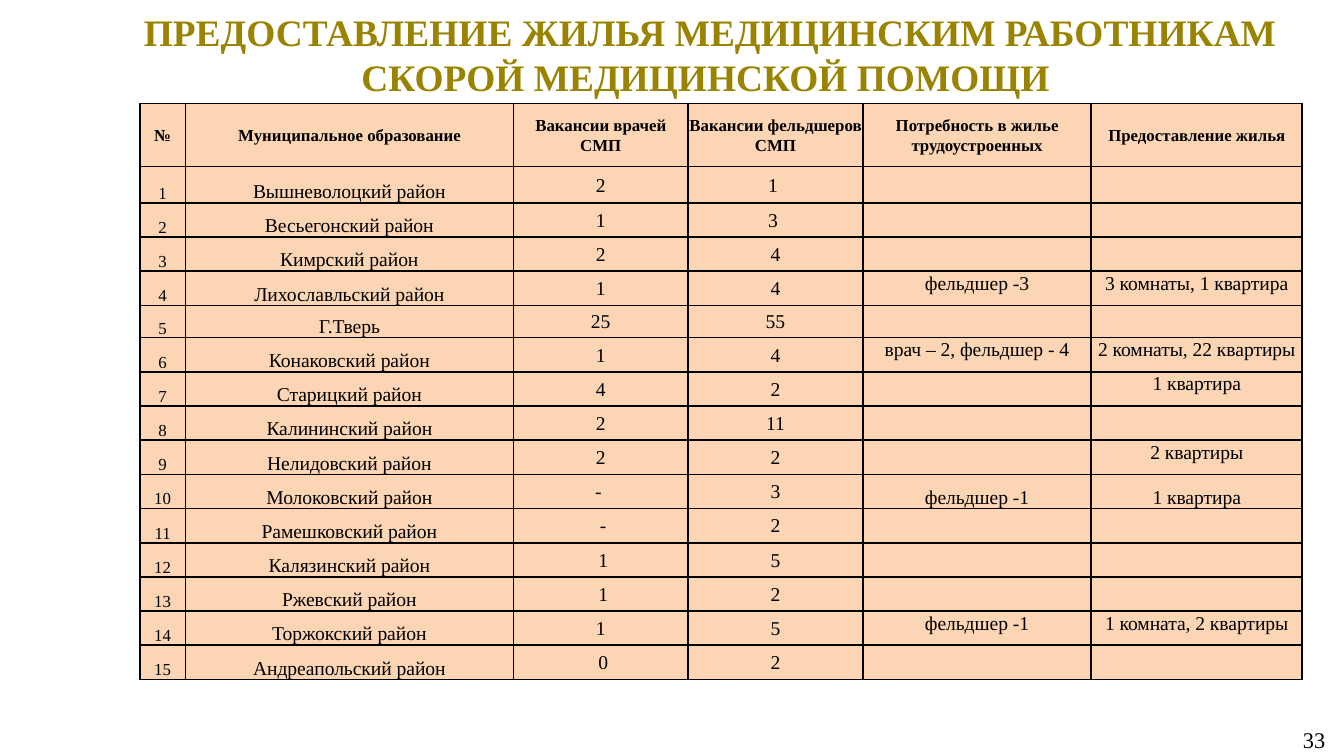
"""Build the slide on housing provided to ambulance medical staff."""
from lxml.etree import SubElement
from pptx import Presentation
from pptx.dml.color import RGBColor
from pptx.enum.text import MSO_ANCHOR as Anchor, PP_ALIGN as Align
from pptx.oxml.ns import qn
from pptx.util import Inches, Pt

FONT = "Times New Roman"
OLIVE = RGBColor(0x99, 0x83, 0x00)
BLACK = RGBColor(0x00, 0x00, 0x00)
PEACH = RGBColor(0xFC, 0xD5, 0xB5)

TITLE = " ПРЕДОСТАВЛЕНИЕ ЖИЛЬЯ МЕДИЦИНСКИМ РАБОТНИКАМ СКОРОЙ МЕДИЦИНСКОЙ ПОМОЩИ"
PAGE_NUMBER = "33"
HEADINGS = (
    "№", "Муниципальное образование", "Вакансии врачей СМП",
    "Вакансии фельдшеров СМП", "Потребность в жилье трудоустроенных",
    "Предоставление жилья",
)
DISTRICTS = [
    ("Вышневолоцкий район", "2", "1 ", "", ""),
    ("Весьегонский район", "1", "3 ", "", ""),
    ("Кимрский район", "2", "4", "", ""),
    ("Лихославльский район", "1", "4", "фельдшер -3", "3 комнаты, 1 квартира"),
    ("Г.Тверь", "25", "55", "", ""),
    ("Конаковский район", "1", "4", "врач – 2, фельдшер - 4", "2 комнаты, 22 квартиры"),
    ("Старицкий район", "4", "2", "", "1 квартира"),
    ("Калининский район", "2", "11", "", ""),
    ("Нелидовский район", "2", "2", "", "2 квартиры"),
    ("Молоковский район", "- ", "3", "фельдшер -1", "1 квартира"),
    ("Рамешковский район", " -", "2", "", ""),
    ("Калязинский район", " 1", "5", "", ""),
    ("Ржевский район", " 1", "2", "", ""),
    ("Торжокский район", "1", "5", "фельдшер -1", "1 комната, 2 квартиры"),
    ("Андреапольский район", " 0", "2", "", ""),
]
COLUMN_WIDTHS = (0.34, 2.44, 1.3, 1.3, 1.7, 1.57)
COLUMN_ANCHORS = (Anchor.BOTTOM, Anchor.BOTTOM, Anchor.MIDDLE,
                  Anchor.MIDDLE, Anchor.TOP, Anchor.TOP)
TABLE_HEIGHT = 4.29
SPECIAL_HEIGHTS = {0: 0.47, 1: 0.27, 5: 0.24}
LOW_HOUSING_ROW = 10


def add_run(paragraph, text, size, color=BLACK, bold=False):
    run = paragraph.add_run()
    run.text = text
    run.font.name = FONT
    run.font.size = Pt(size)
    run.font.bold = bold
    run.font.color.rgb = color


def add_label(slide, box, text, size, align, color=BLACK, bold=False):
    frame = slide.shapes.add_textbox(*map(Inches, box)).text_frame
    frame.word_wrap = True
    frame.vertical_anchor = Anchor.MIDDLE
    frame.paragraphs[0].alignment = align
    add_run(frame.paragraphs[0], text, size, color, bold)


def add_borders(cell):
    properties = cell._tc.get_or_add_tcPr()
    for side in ("a:lnL", "a:lnR", "a:lnT", "a:lnB"):
        line = SubElement(properties, qn(side), w=str(Pt(1)))
        SubElement(SubElement(line, qn("a:solidFill")), qn("a:srgbClr"), val=str(BLACK))


def fill_cell(cell, text, size, anchor, bold):
    add_borders(cell)
    cell.fill.solid()
    cell.fill.fore_color.rgb = PEACH
    cell.margin_left = cell.margin_right = cell.margin_top = cell.margin_bottom = 0
    cell.vertical_anchor = anchor
    paragraph = cell.text_frame.paragraphs[0]
    paragraph.alignment = Align.CENTER
    paragraph.line_spacing = 1.07
    paragraph.space_after = Pt(8)
    if text:
        add_run(paragraph, text, size, bold=bold)
    else:
        SubElement(paragraph._p, qn("a:endParaRPr"), sz=str(int(size * 100)))


def add_district_table(slide):
    rows = [HEADINGS] + [(str(n), *district) for n, district in enumerate(DISTRICTS, 1)]
    regular = (TABLE_HEIGHT - sum(SPECIAL_HEIGHTS.values())) / (len(rows) - len(SPECIAL_HEIGHTS))
    table = slide.shapes.add_table(
        len(rows), len(HEADINGS), Inches(1.04), Inches(0.77),
        Inches(sum(COLUMN_WIDTHS)), Inches(TABLE_HEIGHT)).table
    for column, width in zip(table.columns, COLUMN_WIDTHS):
        column.width = Inches(width)
    for r, row in enumerate(rows):
        table.rows[r].height = Inches(SPECIAL_HEIGHTS.get(r, regular))
        for c, text in enumerate(row):
            heading = r == 0
            anchor = Anchor.MIDDLE if heading else COLUMN_ANCHORS[c]
            if r == LOW_HOUSING_ROW and anchor == Anchor.TOP:
                anchor = Anchor.BOTTOM
            size = 9 if heading or c == 0 else 10.5
            fill_cell(table.cell(r, c), text, size, anchor, heading)


def main():
    deck = Presentation()
    deck.slide_width = Inches(10)
    deck.slide_height = deck.slide_width * 9 // 16
    slide = deck.slides.add_slide(deck.slide_layouts[6])
    add_label(slide, (0.88, 0.11, 8.74, 0.58), TITLE, 20, Align.CENTER, OLIVE, True)
    add_label(slide, (7.63, 5.35, 2.33, 0.3), PAGE_NUMBER, 12, Align.RIGHT)
    add_district_table(slide)
    deck.save("out.pptx")


if __name__ == "__main__":
    main()
